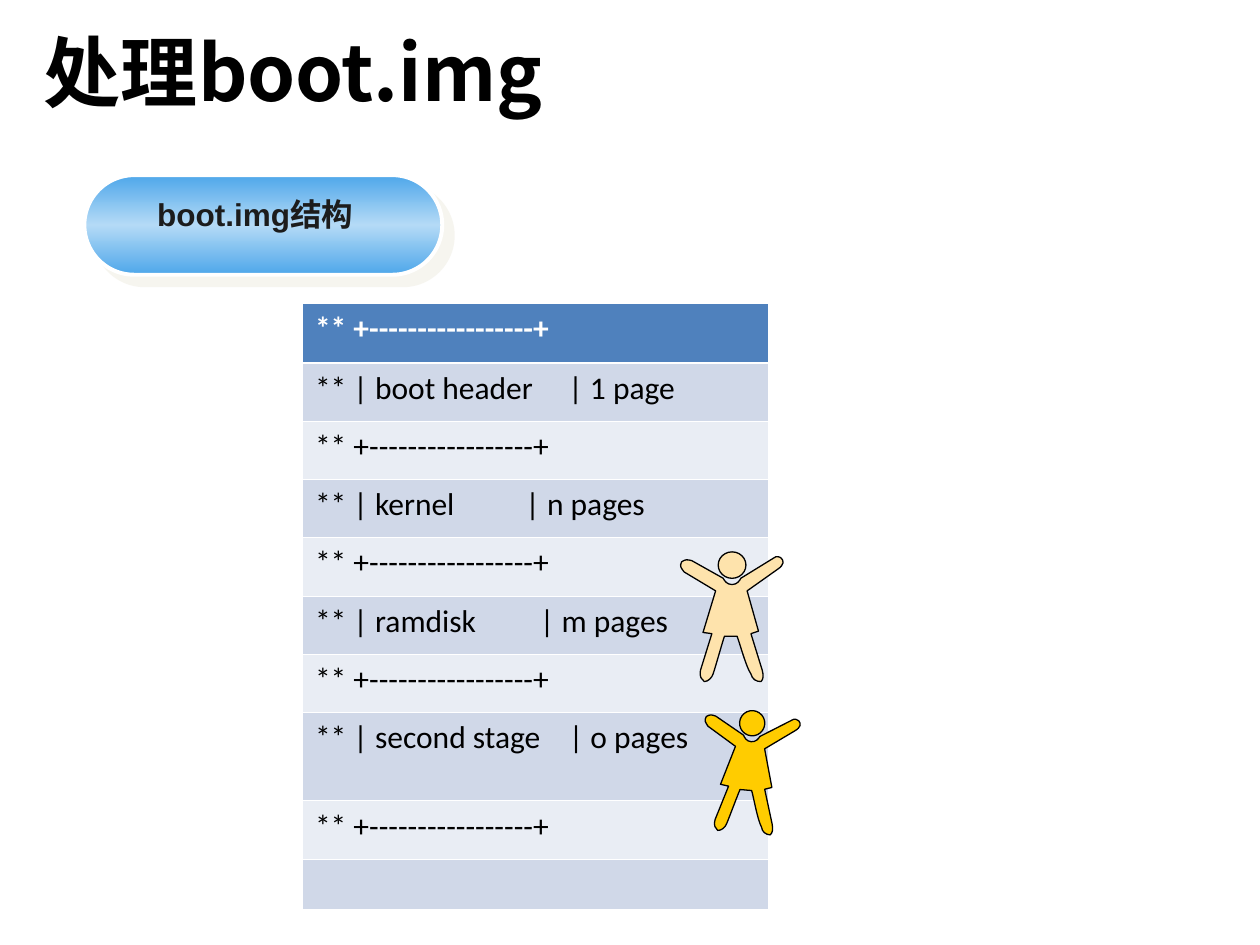
from dataclasses import dataclass

from lxml.etree import SubElement
from pptx import Presentation
from pptx.dml.color import RGBColor
from pptx.enum.shapes import MSO_SHAPE
from pptx.enum.text import MSO_ANCHOR, PP_ALIGN
from pptx.oxml import parse_xml
from pptx.oxml.ns import nsdecls, qn
from pptx.util import Inches, Pt


@dataclass(frozen=True)
class Theme:
    cjk: str = "Noto Sans CJK SC"
    label_font: str = "Arial"
    table_font: str = "Calibri"
    title_size: int = 44
    body_size: int = 18
    black: str = "000000"
    white: str = "FFFFFF"
    label: str = "1C1C1C"
    header: str = "4F81BD"
    bands: tuple = ("D0D8E8", "E9EDF4")
    pill_stops: tuple = ((0, "4EA7EA"), (50, "B4DAF6"), (100, "4EA7EA"))
    pill_shadow: str = "EEECE1"


THEME = Theme()

TITLE = "处理boot.img"
LABEL = "boot.img结构"
SECTIONS = [("boot header", "1 page"), ("kernel", "n pages"),
            ("ramdisk", "m pages"), ("second stage", "o pages")]
RULE = "** +" + "-" * 17 + "+"
TABLE_ROWS = [RULE]
for section, pages in SECTIONS:
    TABLE_ROWS += [f"** | {section:<16}| {pages}", RULE]
TABLE_ROWS.append("")
TABLE_BOX = (2.4, 2.41, 3.7, 4.81)
SPECIAL_HEIGHTS = {0: 0.47, 7: 0.7, 9: 0.4}

# (head box, body box, rotation, colour)
FIGURES = [
    ((5.7, 4.38, 0.22, 0.21), (5.39, 4.41, 0.84, 1.0), 0, "FEE3AC"),
    ((5.87, 5.64, 0.2, 0.2), (5.55, 5.67, 0.78, 0.94), 4.9, "FFCC00"),
]
# Body outline: two numbers make a line, six make a Bezier curve
BODY_FRAME = (5.39, 4.41, 0.84, 1.0)
BODY_START = (5.74, 4.59)
BODY = [
    (5.75, 4.61, 5.77, 4.64, 5.81, 4.64), (5.85, 4.64, 5.87, 4.61, 5.88, 4.59),
    (6.14, 4.43), (6.16, 4.41, 6.19, 4.42, 6.2, 4.43),
    (6.22, 4.45, 6.23, 4.48, 6.17, 4.52), (5.93, 4.69), (6.02, 5.01),
    (5.96, 5.03), (6.05, 5.32), (6.06, 5.36, 6.06, 5.39, 6.04, 5.41),
    (6, 5.41, 5.97, 5.39, 5.96, 5.35), (5.92, 5.29, 5.87, 5.1, 5.85, 5.05),
    (5.75, 5.05), (5.73, 5.11, 5.68, 5.29, 5.66, 5.35),
    (5.65, 5.38, 5.62, 5.41, 5.59, 5.41), (5.57, 5.39, 5.55, 5.38, 5.56, 5.32),
    (5.65, 5.03), (5.58, 5.02), (5.68, 4.69), (5.43, 4.54),
    (5.41, 4.51, 5.39, 4.5, 5.41, 4.46), (5.44, 4.44, 5.45, 4.44, 5.49, 4.45),
    BODY_START,
]


def color(value):
    return RGBColor.from_string(value)


def box(values):
    return [Inches(value) for value in values]


def style_text(paragraph, font_name, size, text_color, bold):
    for run in paragraph.runs:
        font = run.font
        font.name, font.size, font.bold = font_name, Pt(size), bold
        font.color.rgb = color(text_color)
        run._r.get_or_add_rPr().find(qn("a:latin")).addnext(
            parse_xml(f'<a:ea {nsdecls("a")} typeface="{THEME.cjk}"/>'))


def add_text(slide, place, text, font_name, size, text_color):
    frame = slide.shapes.add_textbox(*box(place)).text_frame
    frame.word_wrap = True
    frame.text = text
    style_text(frame.paragraphs[0], font_name, size, text_color, True)
    return frame


def set_borders(cell, widths):
    """Widths are points for left, right, top and bottom."""
    properties = cell._tc.get_or_add_tcPr()
    for index, (side, width) in enumerate(zip("LRTB", widths)):
        properties.insert(index, parse_xml(
            f'<a:ln{side} {nsdecls("a")} w="{Pt(width)}"><a:solidFill>'
            f'<a:srgbClr val="{THEME.white}"/></a:solidFill></a:ln{side}>'))


def add_structure_table(slide):
    count = len(TABLE_ROWS)
    table = slide.shapes.add_table(count, 1, *box(TABLE_BOX)).table
    regular_height = ((TABLE_BOX[3] - sum(SPECIAL_HEIGHTS.values()))
                      / (count - len(SPECIAL_HEIGHTS)))
    thin, thick = 0.45, 1.47
    for index, text in enumerate(TABLE_ROWS):
        header = index == 0
        table.rows[index].height = Inches(
            SPECIAL_HEIGHTS.get(index, regular_height))
        cell = table.cell(index, 0)
        cell.fill.solid()
        cell.fill.fore_color.rgb = color(
            THEME.header if header else THEME.bands[(index - 1) % 2])
        set_borders(cell, (thin, thin, thick if index == 1 else thin,
                           thick if header else thin))
        if text:
            cell.text = text
            paragraph = cell.text_frame.paragraphs[0]
            paragraph.space_before = Pt(4.5)
            style_text(paragraph, THEME.table_font, THEME.body_size,
                       THEME.white if header else THEME.black, header)


def add_pill(slide):
    pill = slide.shapes.add_shape(MSO_SHAPE.ROUNDED_RECTANGLE,
                                  *box((0.67, 1.39, 2.84, 0.79)))
    pill.adjustments[0] = 0.5
    pill.fill.gradient()
    pill.fill.gradient_angle = 90
    stops = pill._element.spPr.find(qn("a:gradFill")).find(qn("a:gsLst"))
    for stop in list(stops):
        stops.remove(stop)
    for position, value in THEME.pill_stops:
        stops.append(parse_xml(
            f'<a:gs {nsdecls("a")} pos="{position * 1000}">'
            f'<a:srgbClr val="{value}"/></a:gs>'))
    pill.line.color.rgb = color(THEME.white)
    pill.line.width = Pt(2.25)
    pill.shadow.inherit = False
    pill._element.spPr.find(qn("a:effectLst")).append(parse_xml(
        f'<a:outerShdw {nsdecls("a")} dist="{Pt(8.5)}" dir="2700000" '
        f'algn="ctr" rotWithShape="0"><a:srgbClr val="{THEME.pill_shadow}">'
        '<a:alpha val="50000"/></a:srgbClr></a:outerShdw>'))


def trace_body(body):
    """Give the freeform its outline of lines and Bezier curves."""
    left, top, width, height = BODY_FRAME
    outline = next(body._element.iter(qn("a:path")))
    for command in list(outline):
        outline.remove(command)
    outline.set("w", str(Inches(width)))
    outline.set("h", str(Inches(height)))

    def add_command(tag, numbers):
        command = SubElement(outline, qn(tag))
        for x, y in zip(numbers[::2], numbers[1::2]):
            SubElement(command, qn("a:pt"), x=str(Inches(x - left)),
                       y=str(Inches(y - top)))

    add_command("a:moveTo", BODY_START)
    for segment in BODY:
        add_command("a:lnTo" if len(segment) == 2 else "a:cubicBezTo", segment)
    SubElement(outline, qn("a:close"))


def add_figure(slide, head_box, body_box, rotation, fill_color):
    head = slide.shapes.add_shape(MSO_SHAPE.OVAL, *box(head_box))
    builder = slide.shapes.build_freeform(*box(BODY_START))
    builder.add_line_segments([box(segment[-2:]) for segment in BODY])
    body = builder.convert_to_shape()
    trace_body(body)
    body.left, body.top, body.width, body.height = box(body_box)
    for shape in (head, body):
        shape.rotation = rotation
        shape.fill.solid()
        shape.fill.fore_color.rgb = color(fill_color)
        shape.line.color.rgb = color(THEME.black)
        shape.line.width = Pt(0.75)
        shape.shadow.inherit = False


def main():
    presentation = Presentation()
    presentation.slide_width, presentation.slide_height = box((10, 7.5))
    slide = presentation.slides.add_slide(presentation.slide_layouts[6])
    title = add_text(slide, (0.25, 0.13, 9.48, 0.86), TITLE,
                     THEME.cjk, THEME.title_size, THEME.black)
    title.vertical_anchor = MSO_ANCHOR.MIDDLE
    add_structure_table(slide)
    add_pill(slide)
    label = add_text(slide, (0.9, 1.5, 2.25, 0.4), LABEL,
                     THEME.label_font, THEME.body_size, THEME.label)
    label.paragraphs[0].alignment = PP_ALIGN.CENTER
    for figure in FIGURES:
        add_figure(slide, *figure)
    presentation.save("out.pptx")


if __name__ == "__main__":
    main()
